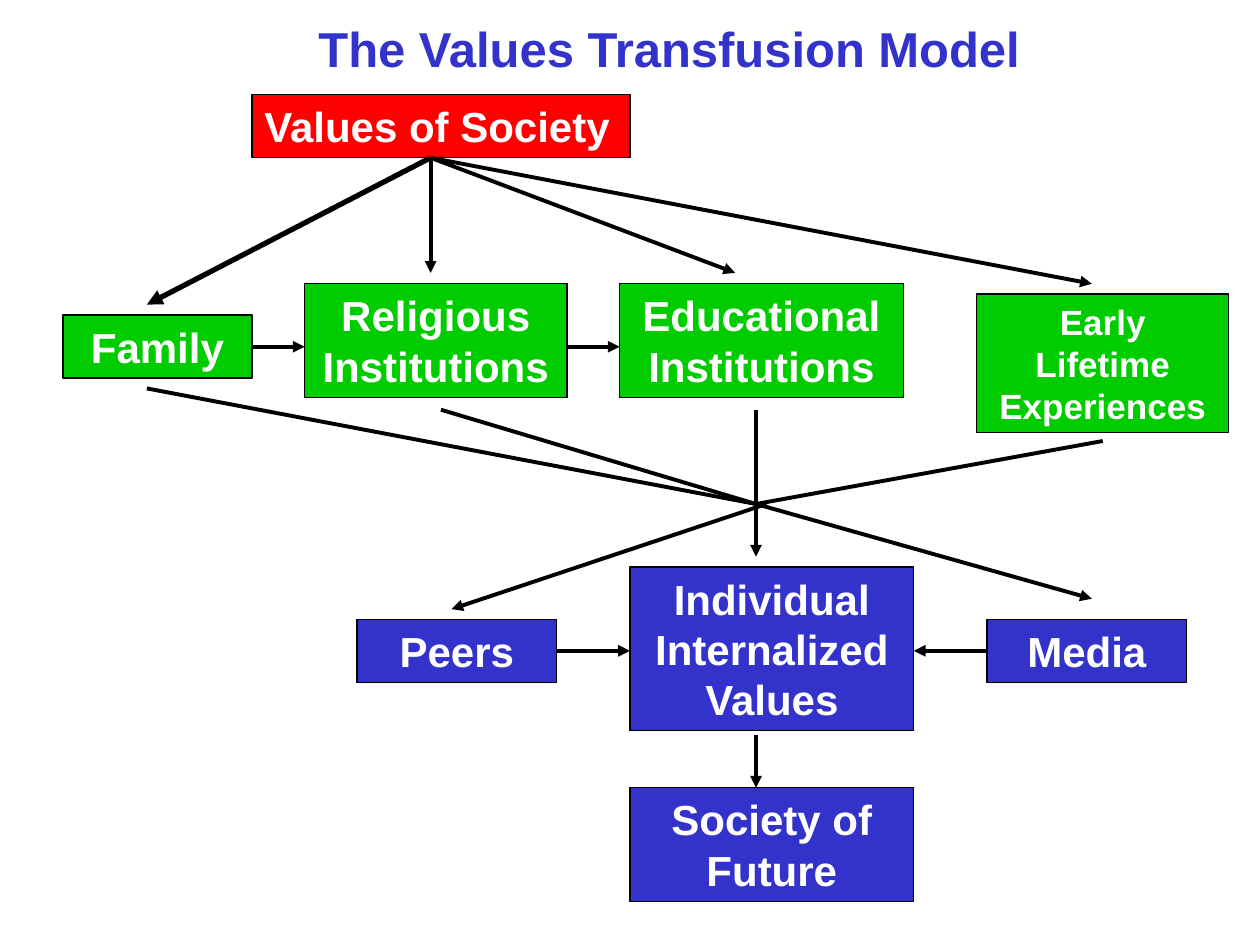
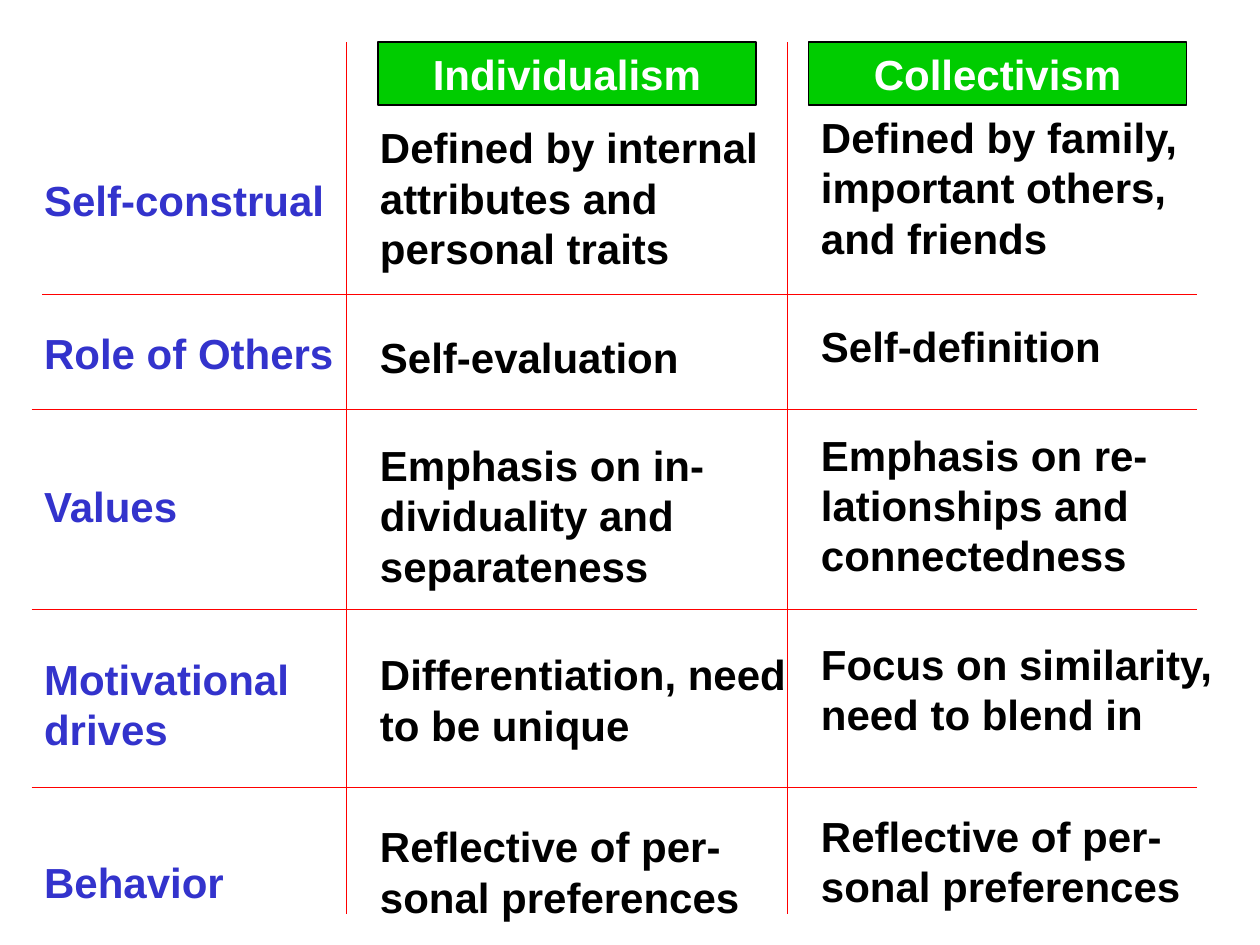
from lxml import etree
from pptx import Presentation
from pptx.dml.color import RGBColor
from pptx.enum.shapes import MSO_CONNECTOR, MSO_SHAPE
from pptx.enum.text import MSO_ANCHOR, PP_ALIGN
from pptx.oxml.ns import qn
from pptx.util import Cm, Pt

FONT = "Arial"
BLACK = RGBColor(0x00, 0x00, 0x00)
WHITE = RGBColor(0xFF, 0xFF, 0xFF)
RED = RGBColor(0xFF, 0x00, 0x00)
GREEN = RGBColor(0x00, 0xCC, 0x00)
BLUE = RGBColor(0x33, 0x33, 0xCC)


def add_box(page, place, lines, color, fill=None, size=24, align=PP_ALIGN.LEFT):
    """Add a text box, or a bordered rectangle if fill is given.

    lines holds pairs of text and space before in points."""
    left, top, width, height = map(Cm, place)
    if fill is None:
        box = page.shapes.add_textbox(left, top, width, height)
    else:
        box = page.shapes.add_shape(MSO_SHAPE.RECTANGLE, left, top, width, height)
        box.shadow.inherit = False
        box.fill.solid()
        box.fill.fore_color.rgb = fill
        box.line.color.rgb = BLACK
        box.line.width = Pt(0.75)
    frame = box.text_frame
    frame.word_wrap = True
    frame.vertical_anchor = MSO_ANCHOR.TOP
    for number, (text, gap) in enumerate(lines):
        para = frame.add_paragraph() if number else frame.paragraphs[0]
        para.text = text
        para.alignment = align
        para.line_spacing = Pt(1.2 * size)
        if gap:
            para.space_before = Pt(gap)
        para.font.name = FONT
        para.font.size = Pt(size)
        para.font.bold = True
        para.font.color.rgb = color


def add_line(page, start, end, color=BLACK, width=2.25, arrow=True):
    line = page.shapes.add_connector(MSO_CONNECTOR.STRAIGHT, *map(Cm, start + end))
    line.line.color.rgb = color
    line.line.width = Pt(width)
    if arrow:
        etree.SubElement(line.line._get_or_add_ln(), qn("a:tailEnd"), type="triangle")
    etree.SubElement(line._element.spPr, qn("a:effectLst"))


deck = Presentation()
deck.slide_width = Cm(25.4)
deck.slide_height = Cm(19.05)
blank = deck.slide_layouts[6]

# Slide 1: the values transfusion model
page = deck.slides.add_slide(blank)
add_box(page, (2.0 + 4.17, 0.25, 14.76, 1.45),
        [("The Values Transfusion Model", 0)], BLUE, size=28)
add_box(page, (5.08, 1.91, 7.62, 1.27), [("Values of Society", 0)], WHITE, RED)

model_boxes = [
    ("Religious Institutions", (6.14, 5.72, 5.29, 2.29), GREEN, 24),
    ("Early Lifetime Experiences", (19.69, 5.93, 5.08, 2.79), GREEN, 20),
    ("Family", (1.27, 6.35, 3.81, 1.27), GREEN, 24),
    ("Educational Institutions", (12.49, 5.72, 5.72, 2.29), GREEN, 24),
    ("Society of Future", (12.7, 15.88, 5.72, 2.29), BLUE, 24),
    ("Individual Internalized Values", (12.7, 11.43, 5.72, 3.3), BLUE, 24),
    ("Peers", (7.2, 12.49, 4.02, 1.27), BLUE, 24),
    ("Media", (19.9, 12.49, 4.02, 1.27), BLUE, 24),
]
for text, place, fill, size in model_boxes:
    add_box(page, place, [(text, 0)], WHITE, fill, size, PP_ALIGN.CENTER)

society = (8.68, 3.18)
add_line(page, society, (2.96, 6.14), width=3)
for target in [(8.68, 5.5), (14.82, 5.5), (22.01, 5.72)]:
    add_line(page, society, target)

crossing = (15.24, 10.16)
for source in [(2.96, 7.83), (8.89, 8.26), (22.23, 8.89)]:
    add_line(page, source, crossing, arrow=False)

arrows = [
    ((5.08, 6.99), (6.14, 6.99)),
    ((11.43, 6.99), (12.49, 6.99)),
    ((15.24, 8.26), (15.24, 11.22)),
    ((15.45, 10.16), (9.1, 12.28)),
    (crossing, (22.01, 12.07)),
    ((11.22, 13.12), (12.7, 13.12)),
    ((19.9, 13.12), (18.42, 13.12)),
    ((15.24, 14.82), (15.24, 15.88)),
]
for start, end in arrows:
    add_line(page, start, end)

# Slide 2: individualism and collectivism compared
page = deck.slides.add_slide(blank)
topics = ["Self-construal", "Role of Others", "Values", "Motivational drives", "Behavior"]
individualism = [
    "Defined by internal attributes and personal traits",
    "Self-evaluation",
    "Emphasis on in-dividuality and separateness",
    "Differentiation, need to be unique",
    "Reflective of per-sonal preferences",
]
collectivism = [
    "Defined by family, important others, and friends",
    "Self-definition",
    "Emphasis on re-lationships and connectedness",
    "Focus on similarity, need to blend in",
    "Reflective of per-sonal preferences",
]
topic_gaps = [0, 58.8, 58.8, 69.7, 58.8]
answer_gaps = [0, 33.2, 33.2, 33.2, 40.6]

add_box(page, (0.64, 3.39, 6.55, 15.04), zip(topics, topic_gaps), BLUE)
add_box(page, (7.41, 2.33, 8.69, 16.38), zip(individualism, answer_gaps), BLACK)
add_box(page, (16.3, 2.12, 9.1, 16.38), zip(collectivism, answer_gaps), BLACK)
for heading, left in [("Individualism", 7.62), ("Collectivism", 16.3)]:
    add_box(page, (left, 0.85, 7.62, 1.27), [(heading, 0)], WHITE, GREEN,
            align=PP_ALIGN.CENTER)

for left, y in [(0.85, 5.93), (0.64, 8.26), (0.64, 12.28), (0.64, 15.88)]:
    add_line(page, (left, y), (24.13, y), RED, 0.75, arrow=False)
for x in (6.99, 15.88):
    add_line(page, (x, 0.85), (x, 18.42), RED, 0.75, arrow=False)

deck.save("out.pptx")
